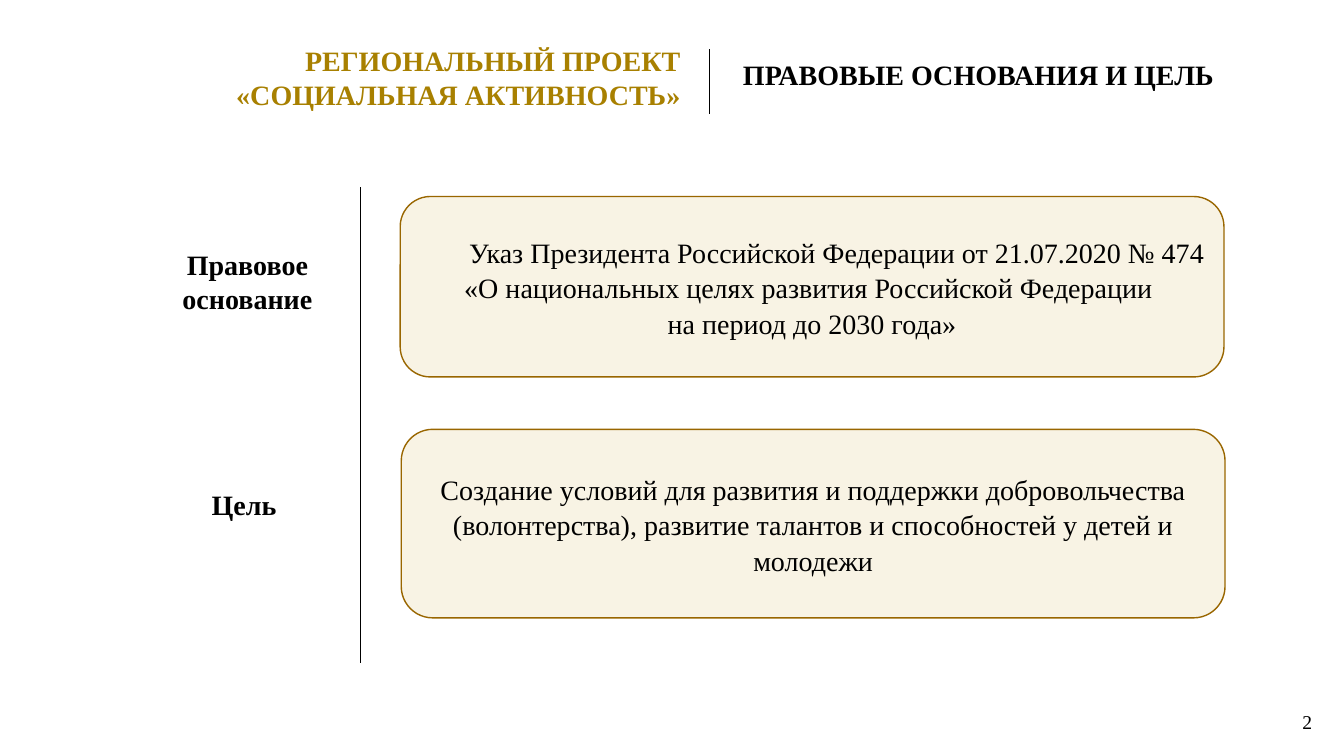
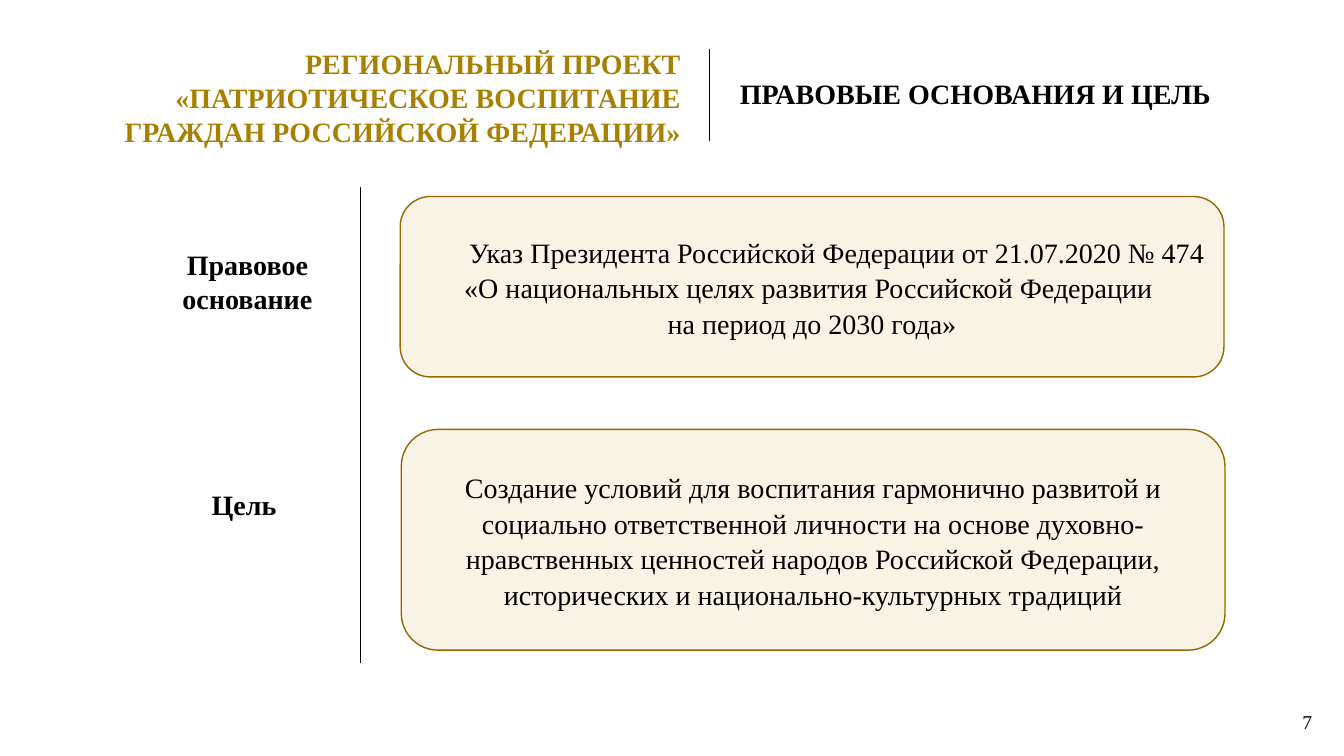
from pptx import Presentation
from pptx.dml.color import RGBColor
from pptx.enum.shapes import MSO_CONNECTOR, MSO_SHAPE
from pptx.enum.text import MSO_ANCHOR, MSO_AUTO_SIZE, PP_ALIGN
from pptx.oxml.ns import qn
from pptx.util import Inches, Pt
from lxml.etree import SubElement

BLACK = RGBColor(0x00, 0x00, 0x00)
GOLD = RGBColor(0xA8, 0x80, 0x00)
BROWN = RGBColor(0x99, 0x66, 0x00)
CREAM = RGBColor(0xF8, 0xF3, 0xE4)

PLAIN = {"name": "Times New Roman", "size": Pt(20), "bold": False}
BOLD = {**PLAIN, "bold": True}
SMALL = {**PLAIN, "size": Pt(14)}

SECTION = "ПРАВОВЫЕ ОСНОВАНИЯ И ЦЕЛЬ"
DECREE = [
    "Указ Президента Российской Федерации от 21.07.2020 № 474 "
    "«О национальных целях развития Российской Федерации ",
    "на период до 2030 года»",
]

# Shares inside a header or body are percentages of that region
SLIDES = [
    {
        "title": "РЕГИОНАЛЬНЫЙ ПРОЕКТ «СОЦИАЛЬНАЯ АКТИВНОСТЬ»",
        "header_height": 9.73, "section_left": 53.77, "divider": (12.33, 100),
        "goal": "Создание условий для развития и поддержки добровольчества "
                "(волонтерства), развитие талантов и способностей у детей "
                "и молодежи",
        "goal_height": 39.62, "number": "2",
    },
    {
        "title": "РЕГИОНАЛЬНЫЙ ПРОЕКТ «ПАТРИОТИЧЕСКОЕ ВОСПИТАНИЕ "
                 "ГРАЖДАН РОССИЙСКОЙ ФЕДЕРАЦИИ»",
        "header_height": 15.07, "section_left": 53.51, "divider": (7.96, 88.5),
        "goal": "Создание условий для воспитания гармонично развитой и "
                "социально ответственной личности на основе "
                "духовно-нравственных ценностей народов Российской "
                "Федерации, исторических и национально-культурных традиций",
        "goal_height": 46.4, "number": "7",
    },
]


def part(box, left, top, width, height):
    """Return the part of a box given by percentages of its size."""
    x, y, w, h = box
    return (int(x + w * left / 100), int(y + h * top / 100),
            int(w * width / 100), int(h * height / 100))


def write(shape, lines, fmt, color=BLACK, align=PP_ALIGN.LEFT,
          anchor=MSO_ANCHOR.MIDDLE):
    tf = shape.text_frame
    frame = {"word_wrap": True, "auto_size": MSO_AUTO_SIZE.NONE,
             "vertical_anchor": anchor}
    for name, value in frame.items():
        setattr(tf, name, value)
    p = tf.paragraphs[0]
    p.alignment = align
    for i, line in enumerate(lines):
        if i:
            p.add_line_break()
        r = p.add_run()
        r.text = line
        for name, value in fmt.items():
            setattr(r.font, name, value)
        r.font.color.rgb = color
    return p


def label(s, box, text, fmt=BOLD, **style):
    write(s.shapes.add_textbox(*box), [text], fmt, **style)


def rule(s, box):
    x, y, w, h = box
    line = s.shapes.add_connector(MSO_CONNECTOR.STRAIGHT, x, y, x + w, y + h)
    line.line.color.rgb = BLACK
    line.line.width = Pt(0.5)
    SubElement(line._element.spPr, qn("a:effectLst"))


def card(s, box, lines, indent=0):
    sp = s.shapes.add_shape(MSO_SHAPE.ROUNDED_RECTANGLE, *box)
    sp.shadow.inherit = False
    sp.fill.solid()
    sp.fill.fore_color.rgb = CREAM
    sp.line.color.rgb = BROWN
    sp.line.width = Pt(1)
    p = write(sp, lines, PLAIN, align=PP_ALIGN.CENTER)
    p.line_spacing = Pt(25.3)
    if indent:
        p._p.get_or_add_pPr().set("indent", str(indent))


def header(s, box, data):
    # Project name, divider and section name
    title = s.shapes.title
    area = part(box, 0, 0, 50.13, 100)
    for name, value in zip(("left", "top", "width", "height"), area):
        setattr(title, name, value)
    write(title, [data["title"]], BOLD, GOLD, PP_ALIGN.RIGHT)
    top, bottom = data["divider"]
    rule(s, part(box, 51.7, top, 0, bottom - top))
    label(s, part(box, data["section_left"], 0, 46.23, 93), SECTION)


def body(s, box, data):
    # Row names to the left of the rule, cards to the right
    rule(s, part(box, 19.89, 0, 0, 100))
    names = {"align": PP_ALIGN.CENTER, "anchor": MSO_ANCHOR.TOP}
    label(s, part(box, 0.37, 11.65, 18.21, 16.31), "Правовое основание", **names)
    label(s, part(box, 0, 62.08, 18.3, 9.32), "Цель", **names)
    card(s, part(box, 23.62, 1.91, 76.28, 37.92), DECREE, Inches(0.49))
    card(s, part(box, 23.72, 50.85, 76.28, data["goal_height"]), [data["goal"]])


def main():
    prs = Presentation()
    prs.slide_width, prs.slide_height = Inches(13.33), Inches(7.5)
    page = (0, 0, prs.slide_width, prs.slide_height)
    for data in SLIDES:
        s = prs.slides.add_slide(prs.slide_layouts[5])
        header(s, part(page, 7.95, 5.33, 86.65, data["header_height"]), data)
        body(s, part(page, 10.8, 24.8, 80.35, 62.93), data)
        # Page number
        label(s, part(page, 96.17, 93.2, 2.4, 4.53), data["number"], SMALL,
              anchor=MSO_ANCHOR.TOP)
    prs.save("out.pptx")


if __name__ == "__main__":
    main()
